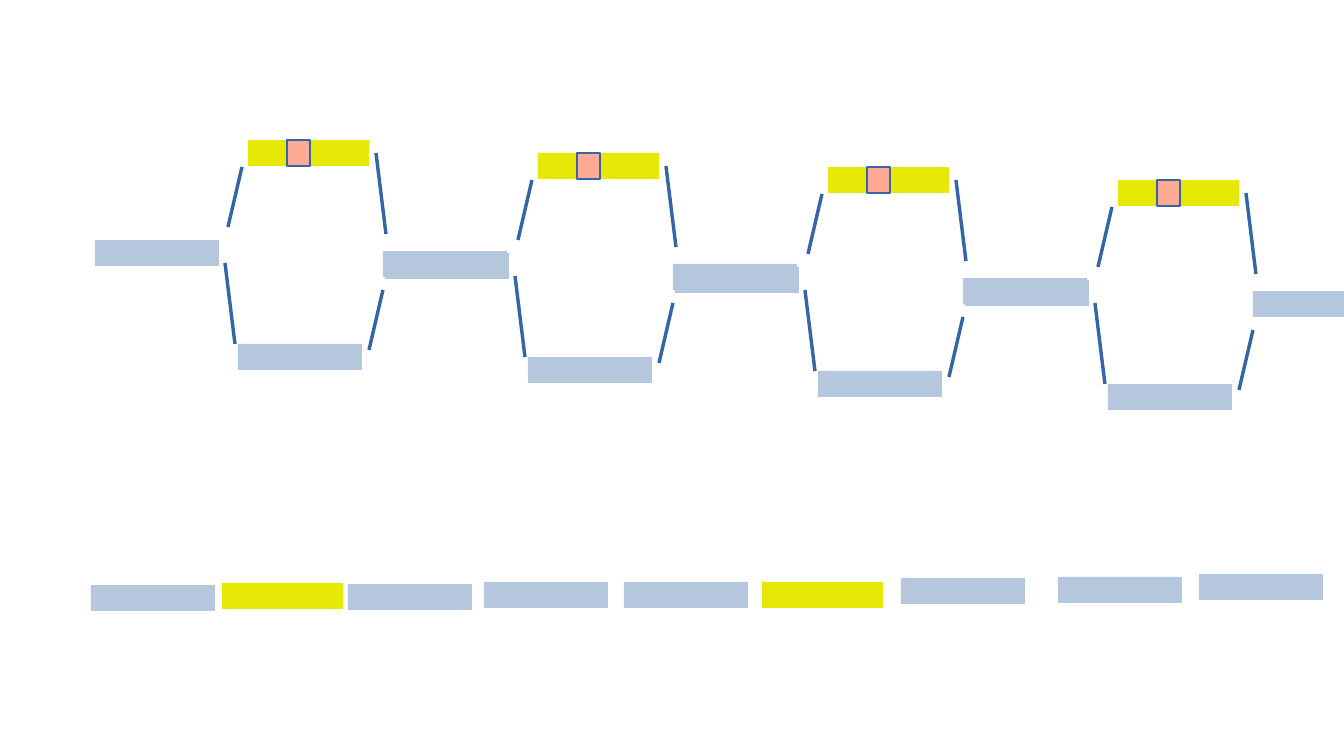
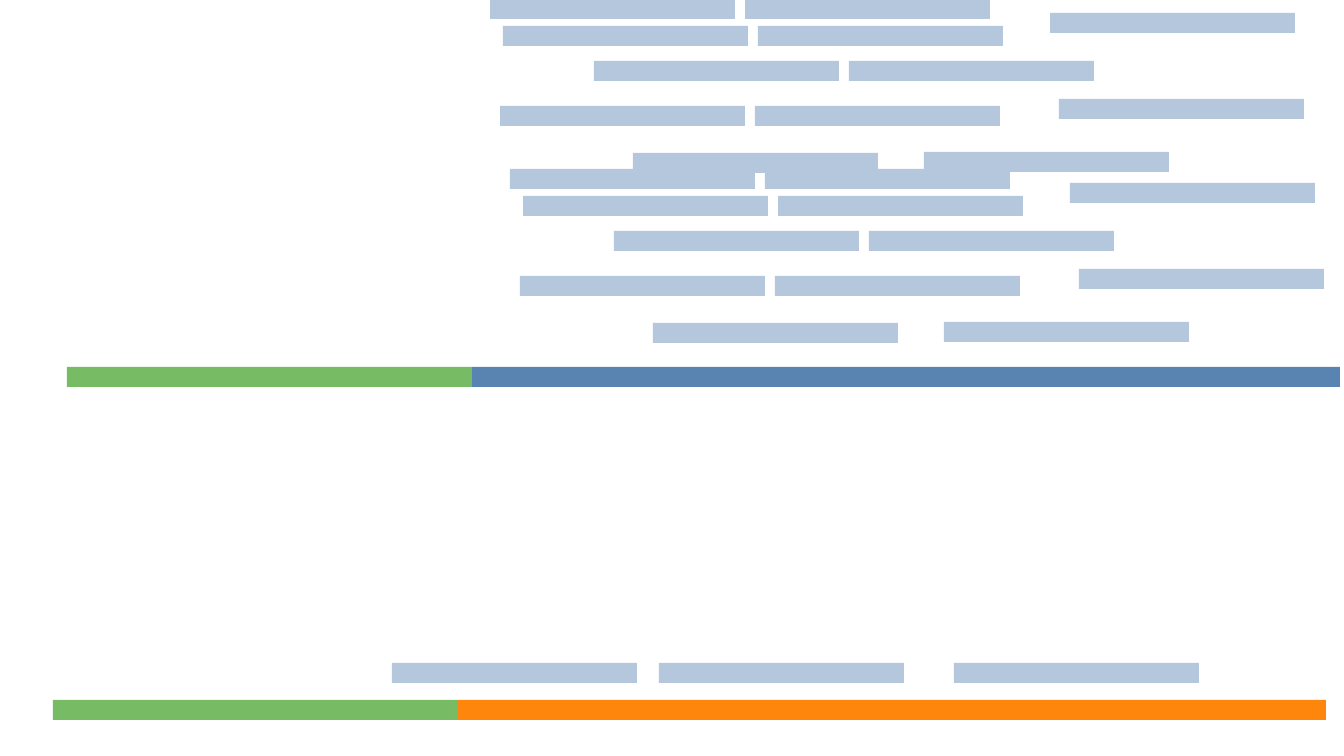
from typing import NamedTuple

import pptx
import pptx.dml.color
import pptx.enum.shapes
import pptx.oxml.ns
import pptx.presentation
import pptx.slide
import pptx.util
from lxml import etree

RGBColor = pptx.dml.color.RGBColor
PALE_BLUE = RGBColor(0xB4, 0xC7, 0xDC)
YELLOW = RGBColor(0xE6, 0xE9, 0x05)
PINK = RGBColor(0xFF, 0xAA, 0x95)
LINE_BLUE = RGBColor(0x34, 0x65, 0xA4)
STEEL_BLUE = RGBColor(0x59, 0x83, 0xB0)
ORANGE = RGBColor(0xFF, 0x86, 0x0D)
GREEN = RGBColor(0x77, 0xBC, 0x65)

PX_PER_INCH = 122
BLANK_LAYOUT = 6


class Bar(NamedTuple):
    left: int
    top: int
    width: int
    height: int
    fill: RGBColor
    outline: RGBColor | None = None


class Edge(NamedTuple):
    start_x: int
    start_y: int
    end_x: int
    end_y: int


class Reference(NamedTuple):
    """A long bar made of a green head and a coloured tail."""
    left: int
    top: int
    tail_fill: RGBColor


def px(length: int) -> pptx.util.Emu:
    return pptx.util.Emu(round(length * 914400 / PX_PER_INCH))


def draw_bar(slide: pptx.slide.Slide, bar: Bar, dx: int = 0, dy: int = 0) -> None:
    shape = slide.shapes.add_shape(
        pptx.enum.shapes.MSO_SHAPE.RECTANGLE,
        px(bar.left + dx), px(bar.top + dy), px(bar.width), px(bar.height))
    shape.shadow.inherit = False
    shape.fill.solid()
    shape.fill.fore_color.rgb = bar.fill
    if bar.outline is None:
        shape.line.fill.background()
    else:
        shape.line.color.rgb = bar.outline
        shape.line.width = pptx.util.Pt(0)


def draw_edge(slide: pptx.slide.Slide, edge: Edge, dx: int, dy: int) -> None:
    connector = slide.shapes.add_connector(
        pptx.enum.shapes.MSO_CONNECTOR.STRAIGHT,
        px(edge.start_x + dx), px(edge.start_y + dy),
        px(edge.end_x + dx), px(edge.end_y + dy))
    connector.line.color.rgb = LINE_BLUE
    connector.line.width = pptx.util.Pt(0)
    etree.SubElement(connector.element.spPr, pptx.oxml.ns.qn("a:effectLst"))


# Slide 1: a chain of bubbles, each one step right and slightly down
BUBBLE_COUNT = 4
BUBBLE_STEP = 290
CHAIN_DROP = 40
SEGMENT_HEIGHT = 26


def segment(left: int, top: int) -> Bar:
    return Bar(left, top, 124, SEGMENT_HEIGHT, PALE_BLUE)


def variant(left: int, top: int) -> Bar:
    return Bar(left, top, 121, SEGMENT_HEIGHT, YELLOW)


BUBBLE_BARS = [
    segment(95, 240),
    segment(238, 344),
    segment(383, 251),
    variant(248, 140),
    Bar(287, 140, 23, SEGMENT_HEIGHT, PINK, LINE_BLUE),
]
BUBBLE_EDGES = [
    Edge(225, 263, 235, 344),
    Edge(376, 153, 386, 234),
    Edge(383, 290, 369, 350),
    Edge(242, 167, 228, 227),
]
SEQUENCE_BARS = [
    segment(91, 585), variant(222, 583), segment(348, 584),
    segment(484, 582), segment(624, 582), variant(762, 582),
    segment(901, 578), segment(1058, 577), segment(1199, 574),
]


def build_bubble_slide(presentation: pptx.presentation.Presentation) -> None:
    slide = presentation.slides.add_slide(presentation.slide_layouts[BLANK_LAYOUT])
    for index in range(BUBBLE_COUNT):
        dx = index * BUBBLE_STEP
        dy = round(index * CHAIN_DROP / (BUBBLE_COUNT - 1))
        for bar in BUBBLE_BARS:
            draw_bar(slide, bar, dx, dy)
        for edge in BUBBLE_EDGES:
            draw_edge(slide, edge, dx, dy)
    for bar in SEQUENCE_BARS:
        draw_bar(slide, bar)


# Slide 2: short reads stacked above two long references
READ_WIDTH = 245
READ_HEIGHT = 20
PAIR_STEP = 255
HEAD_WIDTH = 405
TAIL_WIDTH = 868
PAIRED_READS = [(490, -1), (503, 26), (594, 61), (500, 106)]
SINGLE_READS = [(1050, 13), (1059, 99), (633, 153), (924, 152)]
CLUSTER_OFFSETS = [(0, 0), (20, 170)]
SPARSE_READS = [(392, 663), (659, 663), (954, 663)]
REFERENCES = [Reference(67, 367, STEEL_BLUE), Reference(53, 700, ORANGE)]


def read(left: int, top: int) -> Bar:
    return Bar(left, top, READ_WIDTH, READ_HEIGHT, PALE_BLUE)


def build_read_slide(presentation: pptx.presentation.Presentation) -> None:
    slide = presentation.slides.add_slide(presentation.slide_layouts[BLANK_LAYOUT])
    second_reads = [(left + PAIR_STEP, top) for left, top in PAIRED_READS]
    for dx, dy in CLUSTER_OFFSETS:
        for left, top in PAIRED_READS + second_reads + SINGLE_READS:
            draw_bar(slide, read(left, top), dx, dy)
    for left, top in SPARSE_READS:
        draw_bar(slide, read(left, top))
    for reference in REFERENCES:
        draw_bar(slide, Bar(reference.left, reference.top,
                            HEAD_WIDTH, READ_HEIGHT, GREEN))
        draw_bar(slide, Bar(reference.left + HEAD_WIDTH, reference.top,
                            TAIL_WIDTH, READ_HEIGHT, reference.tail_fill))


def main() -> None:
    presentation = pptx.Presentation()
    presentation.slide_width = px(1344)
    presentation.slide_height = px(756)
    build_bubble_slide(presentation)
    build_read_slide(presentation)
    presentation.save("out.pptx")


if __name__ == "__main__":
    main()
